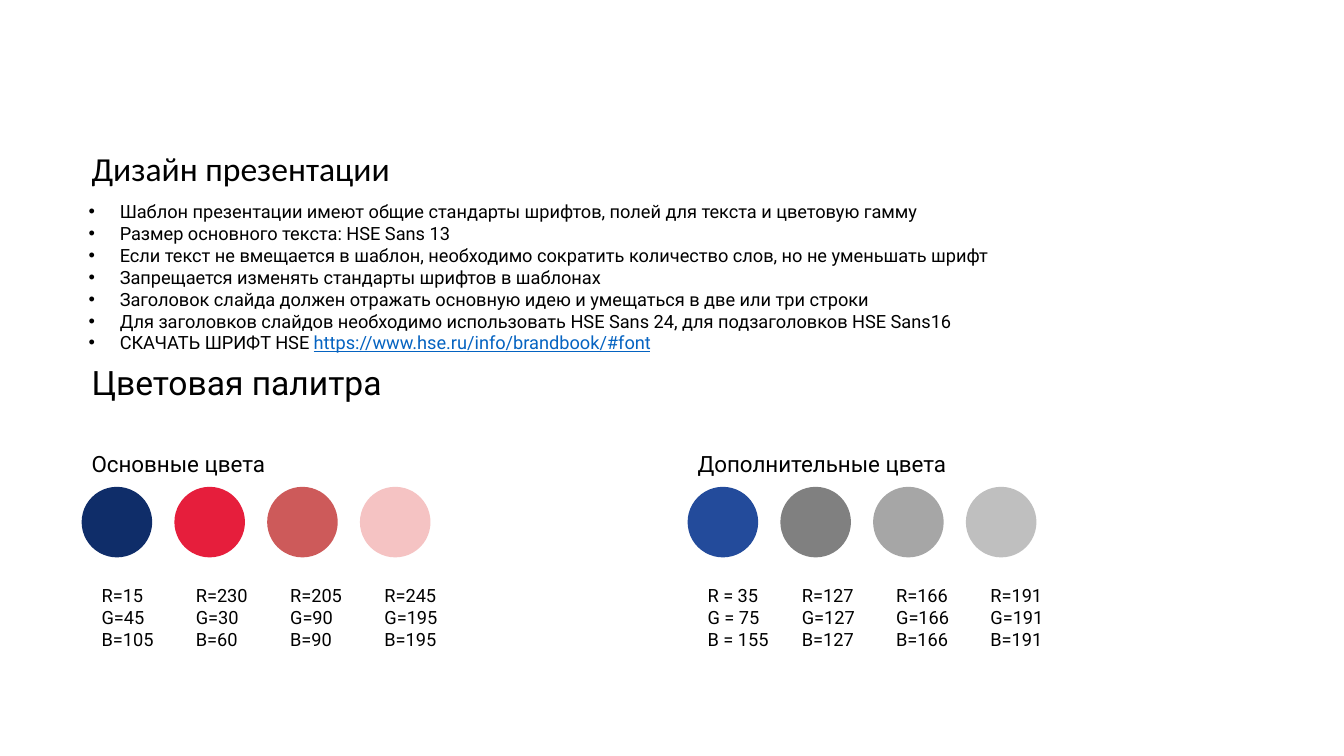
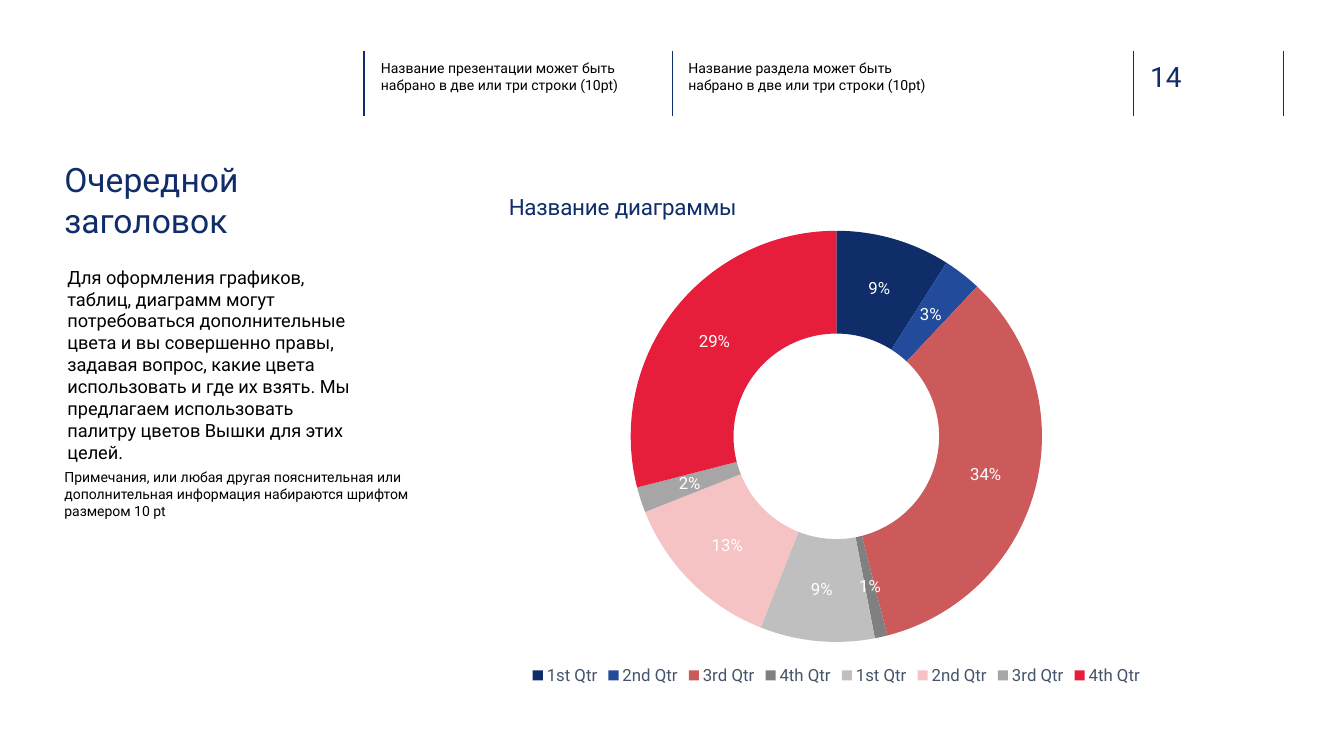
from lxml import etree
from pptx import Presentation
from pptx.chart.data import CategoryChartData
from pptx.dml.color import RGBColor
from pptx.enum.chart import XL_CHART_TYPE as ChartType, XL_LEGEND_POSITION as LegendPosition
from pptx.enum.shapes import MSO_CONNECTOR as Connector, MSO_SHAPE as Shape
from pptx.enum.text import MSO_ANCHOR as Anchor
from pptx.oxml import parse_xml
from pptx.oxml.ns import nsdecls, qn
from pptx.util import Inches, Pt

COLORS = {
    "text": "000000",
    "title": "102D69",
    "link": "0563C1",
    "legend": "44546A",
    "white": "FFFFFF",
    "navy": "0F2D69",
    "red": "E61E3C",
    "coral": "CD5A5A",
    "pink": "F5C3C3",
    "blue": "234B9B",
    "dark gray": "808080",
    "gray": "A6A6A6",
    "light gray": "BFBFBF",
}
FONT = "Roboto"


def style(font, size, color="text", name=FONT):
    font.size = Pt(size)
    font.name = name
    font.color.rgb = RGBColor.from_string(COLORS[color])


def add_text(slide, left, top, width, height, lines, size, color="text", name=FONT, bullet=False):
    frame = slide.shapes.add_textbox(Inches(left), Inches(top), Inches(width), Inches(height)).text_frame
    frame.word_wrap = True
    frame.text = "\n".join(lines)
    for paragraph in frame.paragraphs:
        if bullet:
            props = paragraph._p.get_or_add_pPr()
            props.set("marL", str(Inches(0.31)))
            props.set("indent", str(-Inches(0.31)))
            etree.SubElement(props, qn("a:buFont")).set("typeface", "Arial")
            etree.SubElement(props, qn("a:buChar")).set("char", "•")
        style(paragraph.font, size, color, name)
    return frame


prs = Presentation()
prs.slide_width = Inches(13.33)
prs.slide_height = Inches(7.5)
blank = prs.slide_layouts[6]

design = prs.slides.add_slide(blank)
add_text(design, 0.81, 1.42, 4.08, 0.5, ["Дизайн презентации"], 24, name="Calibri")
rules = add_text(design, 0.78, 1.94, 10.84, 1.63, [
    "Шаблон презентации имеют общие стандарты шрифтов, полей для текста и цветовую гамму",
    "Размер основного текста: HSE Sans 13",
    "Если текст не вмещается в шаблон, необходимо сократить количество слов, но не уменьшать шрифт",
    "Запрещается изменять стандарты шрифтов в шаблонах",
    "Заголовок слайда должен отражать основную идею и умещаться в две или три строки",
    "Для заголовков слайдов необходимо использовать HSE Sans 24, для подзаголовков HSE Sans16",
    "СКАЧАТЬ ШРИФТ HSE ",
], 13, bullet=True)
address = rules.paragraphs[-1].add_run()
address.text = "https://www.hse.ru/info/brandbook/#font"
address.font.underline = True
address.font.color.rgb = RGBColor.from_string(COLORS["link"])

palette_title = add_text(design, 0.81, 3.58, 3.47, 0.48, ["Цветовая палитра"], 24)
palette_title.vertical_anchor = Anchor.MIDDLE
palette_title.paragraphs[0].line_spacing = 0.9

palettes = [
    (0.81, "Основные цвета", [
        ("navy", ["R=15", "G=45", "B=105"]),
        ("red", ["R=230", "G=30", "B=60"]),
        ("coral", ["R=205", "G=90", "B=90"]),
        ("pink", ["R=245", "G=195", "B=195"]),
    ]),
    (6.82, "Дополнительные цвета", [
        ("blue", ["R = 35", "G = 75", "B = 155"]),
        ("dark gray", ["R=127", "G=127", "B=127"]),
        ("gray", ["R=166", "G=166", "B=166"]),
        ("light gray", ["R=191", "G=191", "B=191"]),
    ]),
]
for left, heading, swatches in palettes:
    add_text(design, left, 4.42, 3.13, 0.37, [heading], 16)
    for i, (color, components) in enumerate(swatches):
        swatch = design.shapes.add_shape(
            Shape.OVAL, Inches(left + 0.92 * i), Inches(4.83), Inches(0.7), Inches(0.7))
        swatch.shadow.inherit = False
        swatch.fill.solid()
        swatch.fill.fore_color.rgb = RGBColor.from_string(COLORS[color])
        swatch.line.fill.background()
        add_text(design, left + 0.1 + 0.935 * i, 5.75, 0.9, 0.76, components, 13)

diagram = prs.slides.add_slide(blank)
for x in (3.61, 6.67, 11.24, 12.73):
    divider = diagram.shapes.add_connector(
        Connector.STRAIGHT, Inches(x), Inches(0.51), Inches(x), Inches(1.15))
    divider.line.color.rgb = RGBColor.from_string(COLORS["title"])
    divider.line.width = Pt(1)
    etree.SubElement(divider._element.spPr, qn("a:effectLst"))

for left, subject in ((3.68, "презентации"), (6.73, "раздела")):
    add_text(diagram, left, 0.54, 2.57, 0.44,
             [f"Название {subject} может быть набрано в две или три строки (10pt)"], 10)
add_text(diagram, 11.31, 0.54, 0.73, 0.44, ["14"], 20, "title")
add_text(diagram, 0.54, 1.53, 11.08, 0.91, ["Очередной\vзаголовок"], 24, "title")
add_text(diagram, 0.57, 2.59, 3.07, 1.85, [
    "Для оформления графиков, таблиц, диаграмм могут потребоваться дополнительные цвета "
    "и вы совершенно правы, задавая вопрос, какие цвета использовать и где их взять. "
    "Мы предлагаем использовать палитру цветов Вышки для этих целей."], 13)
add_text(diagram, 0.54, 4.6, 3.91, 0.61, [
    "Примечания, или любая другая пояснительная или дополнительная информация "
    "набираются шрифтом размером 10 pt"], 10)

quarters = CategoryChartData()
quarters.categories = ["1st Qtr", "2nd Qtr", "3rd Qtr", "4th Qtr"] * 2
quarters.add_series("Series 1", [9, 3, 34, 1, 9, 13, 2, 29])
ring = diagram.shapes.add_chart(
    ChartType.DOUGHNUT, Inches(3.85), Inches(1.61), Inches(8.89), Inches(5.23), quarters).chart
style(ring.font, 10)

ring.has_title = True
ring.chart_title.include_in_layout = False
ring_title = ring.chart_title.text_frame
ring_title.text = "Название диаграммы"
style(ring_title.paragraphs[0].font, 16, "navy")
ring_title.paragraphs[0].font.bold = False

ring.has_legend = True
ring.legend.position = LegendPosition.BOTTOM
ring.legend.include_in_layout = False
style(ring.legend.font, 12, "legend")

plot = ring.plots[0]
plot.vary_by_categories = True
plot._element.find(qn("c:holeSize")).set("val", "47")
plot.has_data_labels = True
plot.data_labels.show_percentage = True
plot.data_labels.show_value = False
plot.data_labels.number_format = "0%"
plot.data_labels.number_format_is_linked = False
style(plot.data_labels.font, 12, "white")
sectors = ["navy", "blue", "coral", "dark gray", "light gray", "pink", "gray", "red"]
for i, color in enumerate(sectors):
    sector = plot.series[0].points[i].format
    sector.fill.solid()
    sector.fill.fore_color.rgb = RGBColor.from_string(COLORS[color])
    sector.line.fill.background()

title_place = {"xMode": "edge", "yMode": "edge", "x": 0.13, "y": 0.05}
ring_place = {"layoutTarget": "inner", "xMode": "edge", "yMode": "edge",
              "x": 0.27, "y": 0.13, "w": 0.46, "h": 0.78}
title_element = ring.chart_title._element
plot_area = plot._element.getparent()
for owner, place, index in ((title_element, title_place, 1), (plot_area, ring_place, 0)):
    for old in owner.findall(qn("c:layout")):
        owner.remove(old)
    values = "".join(f'<c:{key} val="{value}"/>' for key, value in place.items())
    owner.insert(index, parse_xml(
        f'<c:layout {nsdecls("c")}><c:manualLayout>{values}</c:manualLayout></c:layout>'))

prs.save("out.pptx")
